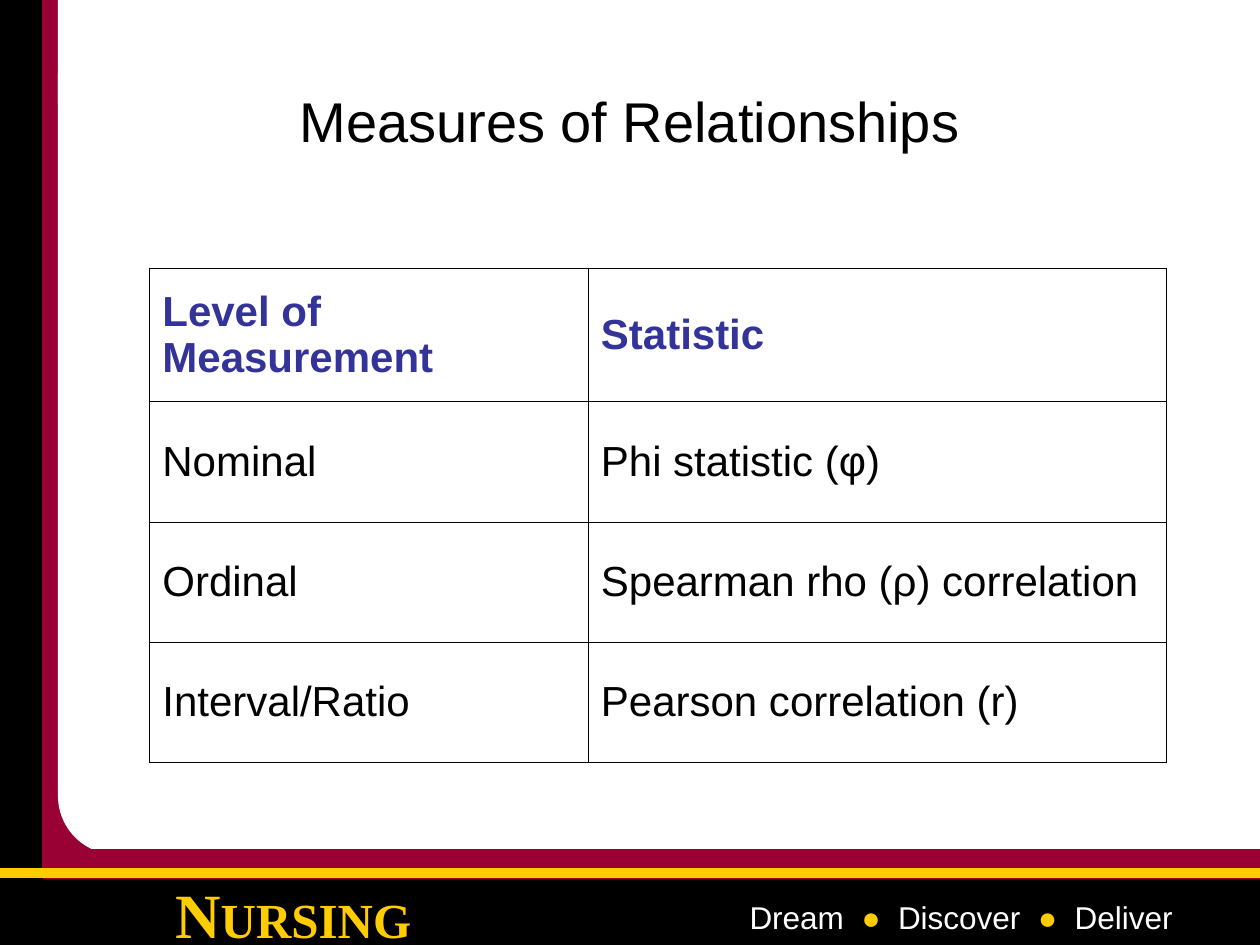
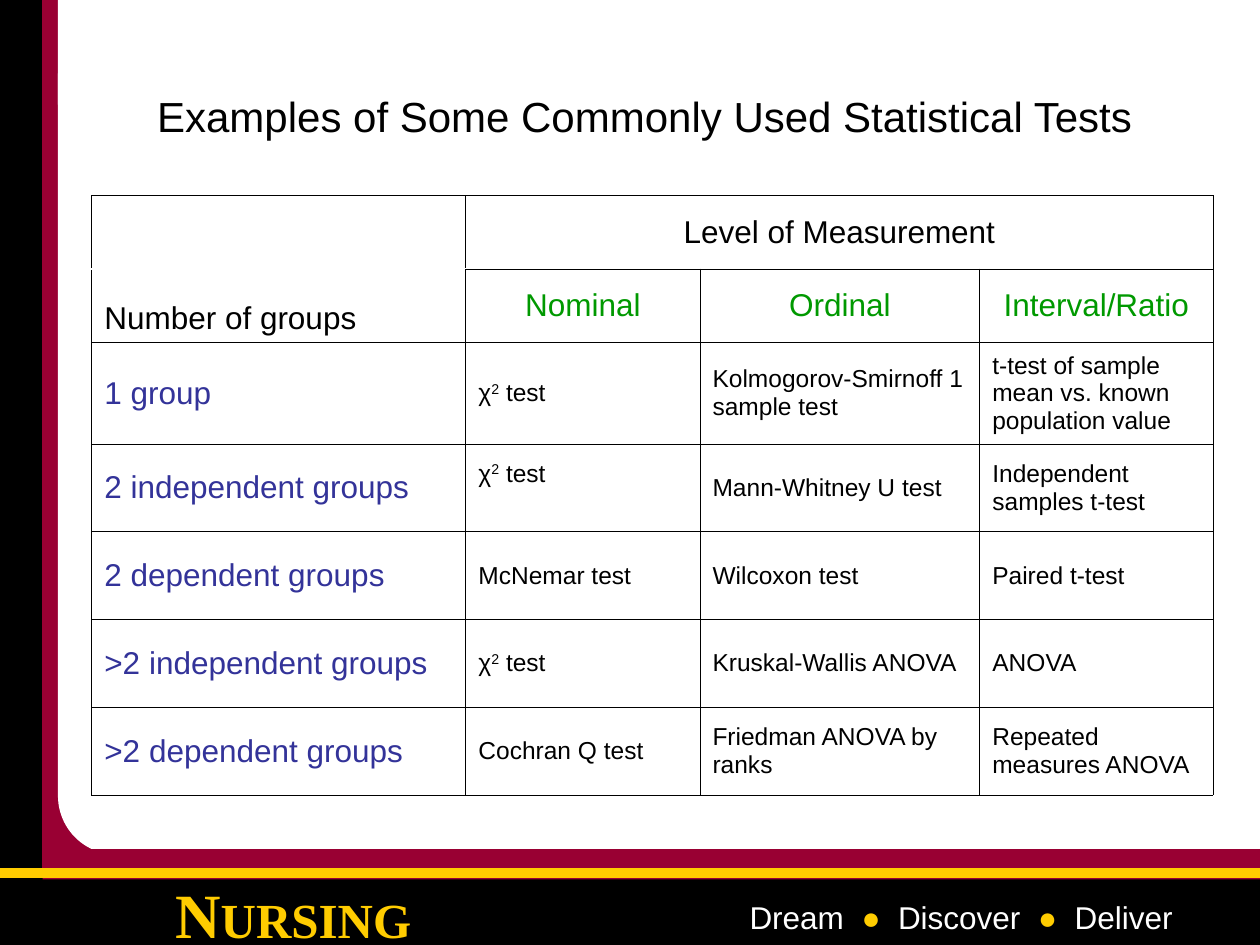
from dataclasses import dataclass, replace
from lxml.etree import SubElement
from pptx import Presentation
from pptx.dml.color import RGBColor
from pptx.enum.shapes import MSO_CONNECTOR, MSO_SHAPE
from pptx.enum.text import MSO_ANCHOR, PP_ALIGN
from pptx.oxml.ns import qn
from pptx.util import Cm, Pt


@dataclass(frozen=True)
class TypeStyle:
    size: int
    color: str
    bold: bool = False
    font: str = "Arial"
    baseline: int = 0


@dataclass(frozen=True)
class Theme:
    black: str = "000000"
    white: str = "FFFFFF"
    maroon: str = "990033"
    gold: str = "FFCC00"
    border: float = 0.45
    title: TypeStyle = TypeStyle(32, "000000")
    long_title: TypeStyle = TypeStyle(24, "000000")
    heading: TypeStyle = TypeStyle(24, "333399", bold=True)
    body: TypeStyle = TypeStyle(24, "000000")
    group_heading: TypeStyle = TypeStyle(18, "000000")
    level: TypeStyle = TypeStyle(18, "009900")
    group: TypeStyle = TypeStyle(18, "333399")
    test: TypeStyle = TypeStyle(14, "000000")
    unit_initial: TypeStyle = TypeStyle(36, "FFCC00", True, "Times New Roman")
    unit: TypeStyle = TypeStyle(28, "FFCC00", True, "Times New Roman")
    motto: TypeStyle = TypeStyle(18, "FFFFFF")
    bullet: TypeStyle = TypeStyle(18, "FFCC00")


class Deck:
    def __init__(self, theme):
        self.theme = theme
        self.presentation = Presentation()
        self.presentation.slide_width = Cm(25.4)
        self.presentation.slide_height = Cm(19.05)
        self.slide = None

    def new_slide(self, title, style, box):
        blank = self.presentation.slide_layouts[6]
        self.slide = self.presentation.slides.add_slide(blank)
        self.frame()
        self.text(box, [(title, style)], PP_ALIGN.CENTER, MSO_ANCHOR.MIDDLE)

    def frame(self):
        theme = self.theme
        self.block((0.81, 0, 1.1, 19.05), theme.maroon)
        self.block((2.64, 1.9, 22.76, 17.15), theme.white)
        self.block((0, 0, 0.84, 19.05), theme.black, outlined=True)
        self.block((0, 17.68, 25.4, 1.37), theme.black, outlined=True)
        self.block((1.17, 0.3, 7.12, 16.93), theme.white, MSO_SHAPE.ROUNDED_RECTANGLE)
        self.block((1.17, 0, 1.62, 2.11), theme.white)
        self.text((2.95, 17.53, 5.92, 1.6),
                  [("N", theme.unit_initial), ("URSING", theme.unit)], PP_ALIGN.CENTER)
        self.block((0.86, 17.12, 24.54, 0.61), theme.maroon)
        self.rule((0, 17.6), (25.4, 17.6), theme.gold, 6)
        self.text((14.86, 17.98, 10.13, 1.02), [
            ("Dream  ", theme.motto), ("●  ", theme.bullet), ("Discover  ", theme.motto),
            ("●", theme.bullet), ("  Deliver", theme.motto)])

    def block(self, box, color, kind=MSO_SHAPE.RECTANGLE, outlined=False):
        shape = self.slide.shapes.add_shape(kind, *map(Cm, box))
        shape.shadow.inherit = False
        shape.fill.solid()
        shape.fill.fore_color.rgb = RGBColor.from_string(color)
        if outlined:
            shape.line.color.rgb = RGBColor.from_string(color)
            shape.line.width = Pt(0.75)
        else:
            shape.line.fill.background()

    def rule(self, start, end, color, width):
        line = self.slide.shapes.add_connector(
            MSO_CONNECTOR.STRAIGHT, *map(Cm, start + end))
        line.line.color.rgb = RGBColor.from_string(color)
        line.line.width = Pt(width)
        SubElement(line._element.spPr, qn("a:effectLst"))

    def text(self, box, pieces, align=PP_ALIGN.LEFT, anchor=MSO_ANCHOR.TOP):
        frame = self.slide.shapes.add_textbox(*map(Cm, box)).text_frame
        frame.word_wrap = True
        frame.vertical_anchor = anchor
        self.set_runs(frame, pieces, align)

    def set_runs(self, frame, pieces, align):
        paragraph = frame.paragraphs[0]
        paragraph.alignment = align
        for content, style in pieces:
            run = paragraph.add_run()
            run.text = content
            run.font.name = style.font
            run.font.size = Pt(style.size)
            run.font.bold = style.bold
            run.font.color.rgb = RGBColor.from_string(style.color)
            if style.baseline:
                run.font._element.set("baseline", str(style.baseline))

    def table(self, corner, widths, heights, rows, style_for):
        table = self.slide.shapes.add_table(
            len(heights), len(widths), *map(Cm, (*corner, sum(widths), sum(heights)))).table
        table.first_row = table.horz_banding = False
        for column, width in zip(table.columns, widths):
            column.width = Cm(width)
        for row, height in zip(table.rows, heights):
            row.height = Cm(height)
        for r, row in enumerate(rows):
            for c, content in enumerate(row):
                cell = table.cell(r, c)
                cell.vertical_anchor = MSO_ANCHOR.MIDDLE
                style, align = style_for(r, c)
                if content:
                    self.set_runs(cell.text_frame, self.pieces(content, style), align)
        return table

    def pieces(self, content, style):
        if "²" not in content:
            return [(content, style)]
        before, after = content.split("²")
        return [(before, style), ("2", replace(style, baseline=30000)), (after, style)]

    def borders(self, table, open_edges=()):
        for r in range(len(table.rows)):
            for c in range(len(table.columns)):
                cell = table.cell(r, c)
                properties = cell._tc.get_or_add_tcPr()
                for side in "LRTB":
                    if (r, c, side) in open_edges:
                        continue
                    edge = SubElement(properties, qn(f"a:ln{side}"),
                                      w=str(Pt(self.theme.border)))
                    fill = SubElement(edge, qn("a:solidFill"))
                    SubElement(fill, qn("a:srgbClr"), val=self.theme.black)
                cell.fill.background()


def relationships(deck):
    theme = deck.theme
    deck.new_slide("Measures of Relationships", theme.title, (1.9, 0.84, 21.59, 3.18))
    measures = deck.table(
        (3.02, 5.4), [8.84, 11.66], [2.7] + [2.42] * 3,
        [["Level of Measurement", "Statistic"],
         ["Nominal", "Phi statistic (φ)"],
         ["Ordinal", "Spearman rho (ρ) correlation"],
         ["Interval/Ratio", "Pearson correlation (r)"]],
        lambda r, c: (theme.body if r else theme.heading, PP_ALIGN.LEFT))
    deck.borders(measures)


def statistical_tests(deck):
    theme = deck.theme

    def style_for(r, c):
        if r < 2:
            style = theme.level if r and c else theme.group_heading
            return style, PP_ALIGN.CENTER if c else PP_ALIGN.LEFT
        return theme.test if c else theme.group, PP_ALIGN.LEFT

    deck.new_slide("Examples of Some Commonly Used Statistical Tests",
                   theme.long_title, (1.07, 1.27, 23.85, 2.11))
    tests = deck.table(
        (1.85, 3.94), [7.54, 4.72, 5.64, 4.7], [1.48] * 2 + [2.05] + [1.77] * 4,
        [["", "Level of Measurement", "", ""],
         ["Number of groups", "Nominal", "Ordinal", "Interval/Ratio"],
         ["1 group", "χ² test", "Kolmogorov-Smirnoff 1 sample test",
          "t-test of sample mean vs. known population value"],
         ["2 independent groups", "χ² test", "Mann-Whitney U test",
          "Independent samples t-test"],
         ["2 dependent groups", "McNemar test", "Wilcoxon test", "Paired t-test"],
         [">2 independent groups", "χ² test", "Kruskal-Wallis ANOVA", "ANOVA"],
         [">2 dependent groups", "Cochran Q test", "Friedman ANOVA by ranks",
          "Repeated measures ANOVA"]],
        style_for)
    tests.cell(0, 1).merge(tests.cell(0, 3))
    tests.cell(1, 0).vertical_anchor = MSO_ANCHOR.BOTTOM
    tests.cell(3, 1).margin_bottom = Cm(0.7)
    deck.borders(tests, open_edges={(0, 0, "B"), (1, 0, "T")})


def main():
    deck = Deck(Theme())
    relationships(deck)
    statistical_tests(deck)
    deck.presentation.save("out.pptx")


if __name__ == "__main__":
    main()
